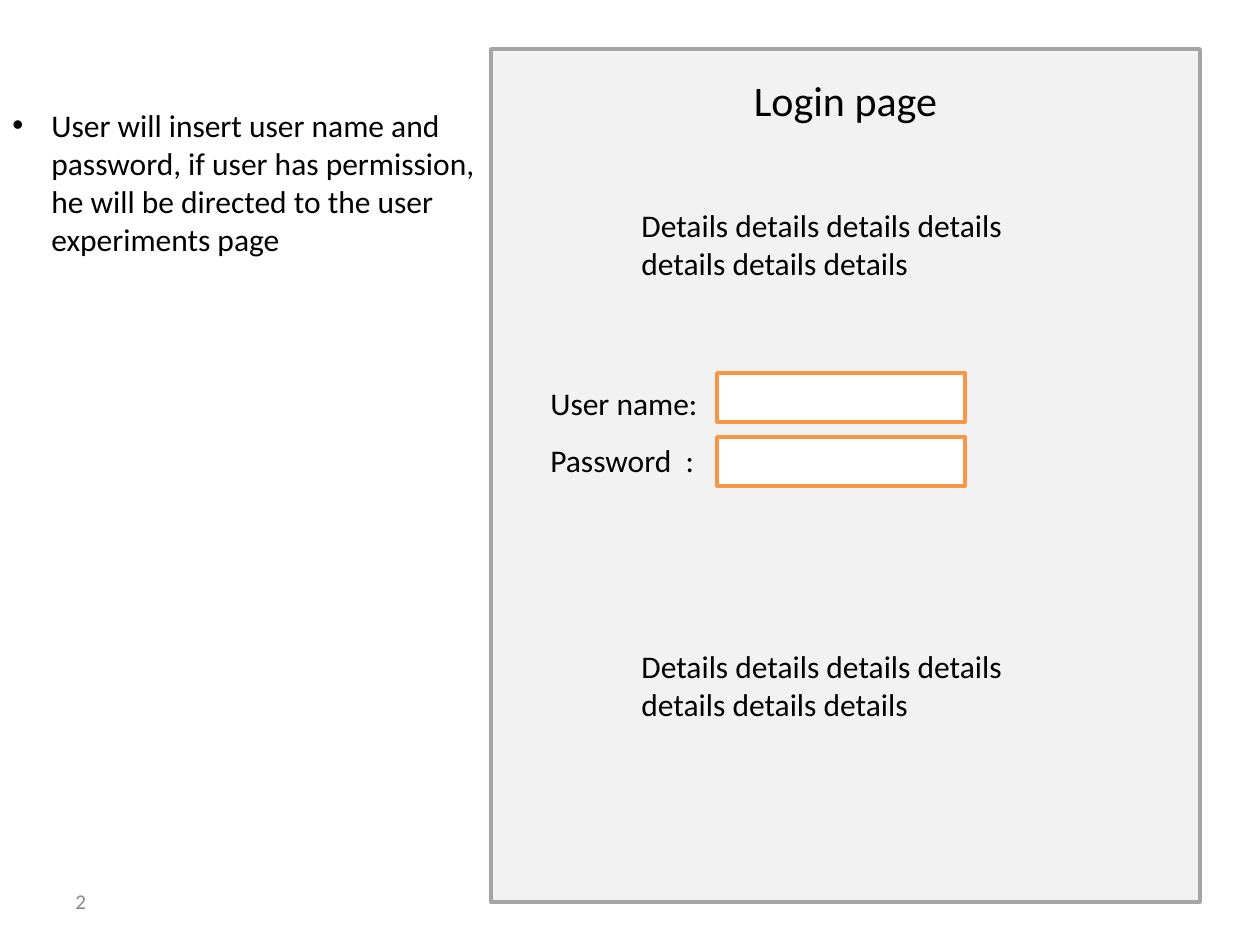
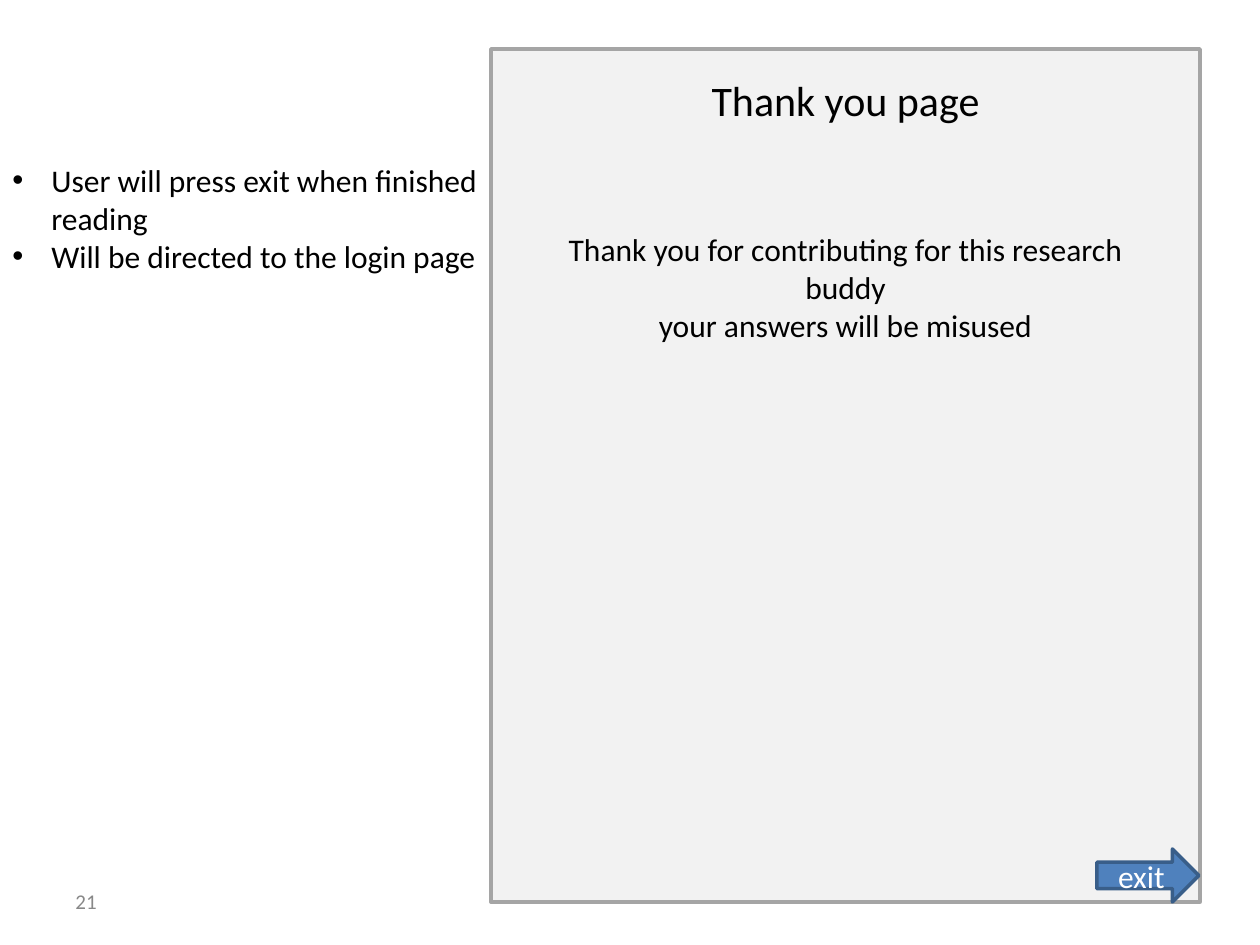
from pptx import Presentation
from pptx.dml.color import RGBColor
from pptx.enum.shapes import MSO_SHAPE
from pptx.enum.text import MSO_ANCHOR, PP_ALIGN
from pptx.oxml.ns import qn
from pptx.util import Pt
from lxml import etree

EMU_PER_PX = 914400 / 126
TITLE_ONLY = 5
FONT = "Calibri"

BLACK = RGBColor(0x00, 0x00, 0x00)
WHITE = RGBColor(0xFF, 0xFF, 0xFF)
PANEL_FILL = RGBColor(0xF2, 0xF2, 0xF2)
PANEL_LINE = RGBColor(0xA5, 0xA5, 0xA5)
FIELD_LINE = RGBColor(0xF7, 0x96, 0x46)
BUTTON_FILL = RGBColor(0x4F, 0x81, 0xBD)
BUTTON_LINE = RGBColor(0x39, 0x5E, 0x89)
NUMBER_GREY = RGBColor(0x88, 0x88, 0x88)

RECTANGLE = MSO_SHAPE.RECTANGLE
RIGHT_ARROW = MSO_SHAPE.RIGHT_ARROW
LEFT, CENTER = PP_ALIGN.LEFT, PP_ALIGN.CENTER
TOP, MIDDLE = MSO_ANCHOR.TOP, MSO_ANCHOR.MIDDLE

PANEL_LEFT, PANEL_WIDTH = 491, 709


def px(length):
    return round(length * EMU_PER_PX)


class Mockup:
    """Draws page mock-ups, each with notes to the left of a framed page."""

    def __init__(self):
        self.presentation = Presentation()
        self.presentation.slide_width = px(1260)
        self.presentation.slide_height = px(945)
        self.slide = None

    def page(self, title, number):
        layout = self.presentation.slide_layouts[TITLE_ONLY]
        self.slide = self.presentation.slides.add_slide(layout)
        self.box(RECTANGLE, PANEL_LEFT, 49, PANEL_WIDTH, 853, PANEL_FILL, PANEL_LINE)
        self.title(title)
        self.text([number], 63, 876, 294, 50, size=12, color=NUMBER_GREY, anchor=MIDDLE)

    def title(self, title):
        shape = self.slide.shapes.title
        shape.left, shape.top = px(PANEL_LEFT), px(68)
        shape.width, shape.height = px(PANEL_WIDTH), px(63)
        self.fill_text(shape, [title], size=24, align=CENTER)
        # Bring the title in front of the panel.
        shape.element.getparent().append(shape.element)

    def fill_text(self, shape, lines, size=18, color=BLACK, align=LEFT, anchor=TOP):
        frame = shape.text_frame
        frame.word_wrap = True
        frame.vertical_anchor = anchor
        frame.text = "\n".join(lines)
        for paragraph in frame.paragraphs:
            paragraph.alignment = align
            paragraph.font.name = FONT
            paragraph.font.size = Pt(size)
            paragraph.font.color.rgb = color
        return frame.paragraphs

    def text(self, lines, left, top, width, height, **style):
        shape = self.slide.shapes.add_textbox(px(left), px(top), px(width), px(height))
        return self.fill_text(shape, lines, **style)

    def notes(self, lines, top, height):
        """Sets the bulleted notes beside the panel."""
        for paragraph in self.text(lines, 0, top, PANEL_LEFT, height):
            properties = paragraph._p.get_or_add_pPr()
            properties.set("marL", str(px(39)))
            properties.set("indent", str(-px(39)))
            bullet_font = etree.Element(qn("a:buFont"), typeface="Arial")
            bullet = etree.Element(qn("a:buChar"), char="•")
            default_font = properties.find(qn("a:defRPr"))
            default_font.addprevious(bullet_font)
            default_font.addprevious(bullet)

    def box(self, kind, left, top, width, height, fill, line):
        shape = self.slide.shapes.add_shape(
            kind, px(left), px(top), px(width), px(height))
        shape.shadow.inherit = False
        shape.fill.solid()
        shape.fill.fore_color.rgb = fill
        shape.line.color.rgb = line
        shape.line.width = Pt(2)
        return shape

    def button(self, label, left, top, width, height):
        shape = self.box(RIGHT_ARROW, left, top, width, height, BUTTON_FILL, BUTTON_LINE)
        self.fill_text(shape, [label], color=WHITE, align=CENTER, anchor=MIDDLE)


def login_page(mockup):
    mockup.page("Login page", "2")
    labels = mockup.text(["User name:", "Password  :"], 538, 378, 189, 102)
    labels[1].line_spacing = 1.5
    for top in (373, 437):
        mockup.box(RECTANGLE, 717, top, 248, 49, WHITE, FIELD_LINE)
    details = "Details details details details details details details"
    for top in (200, 641):
        mockup.text([details], 629, top, 435, 89)
    mockup.notes(["User will insert user name and password, if user has permission, "
                  "he will be directed to the user experiments page"], 100, 165)


def thank_you_page(mockup):
    mockup.page("Thank you page", "21")
    mockup.notes(["User will press exit when finished reading",
                  "Will be directed to the login page"], 155, 127)
    mockup.button("exit", 1097, 849, 102, 53)
    mockup.text(["Thank you for contributing for this research buddy",
                 "your answers will be misused"], 554, 224, 583, 127, align=CENTER)


def main():
    mockup = Mockup()
    login_page(mockup)
    thank_you_page(mockup)
    mockup.presentation.save("out.pptx")


if __name__ == "__main__":
    main()
